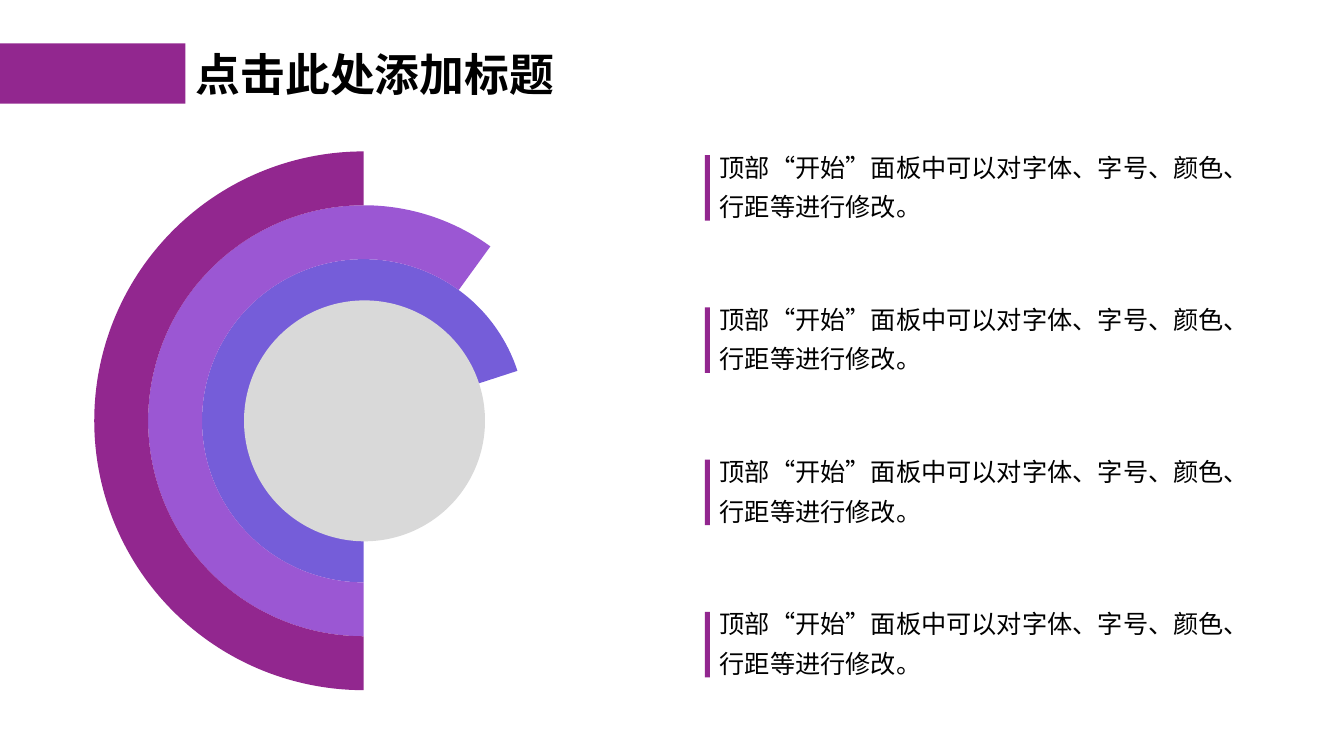
from lxml import etree
from pptx import Presentation
from pptx import util as u
from pptx.chart.data import CategoryChartData
from pptx.dml.color import RGBColor
from pptx.enum import chart as charts, shapes, text
from pptx.oxml.ns import qn

PURPLE = "92278F"
FONT = "Noto Sans CJK SC"
ADVICE = ["顶部“开始”面板中可以对字体、字号、颜色、", "行距等进行修改。"]
RINGS = [(80, "665EB8"), (70, "755DD9"), (60, "9B57D3"), (50, PURPLE)]


def colour(value):
    return RGBColor.from_string(value)


def add_block(page, kind, left, top, width, height, fill):
    block = page.shapes.add_shape(
        kind, u.Inches(left), u.Inches(top), u.Inches(width), u.Inches(height))
    block.shadow.inherit = False
    block.fill.solid()
    block.fill.fore_color.rgb = colour(fill)
    block.line.fill.background()


def add_span(para, words, size, bold=False):
    span = para.add_run()
    span.text = words
    span.font.size = u.Pt(size)
    span.font.bold = bold
    span.font.name = FONT
    span.font.color.rgb = colour("000000")
    east_asian = etree.SubElement(span.font._element, qn("a:ea"))
    east_asian.set("typeface", FONT)


def add_heading(page, left, top, width, height):
    add_block(page, shapes.MSO_SHAPE.RECTANGLE, 0, top + 0.02, left, 0.6, PURPLE)
    title = page.shapes.title
    title.left, title.top = u.Inches(left), u.Inches(top)
    title.width, title.height = u.Inches(width), u.Inches(height)
    frame = title.text_frame
    frame.word_wrap = False
    frame.auto_size = text.MSO_AUTO_SIZE.NONE
    frame.vertical_anchor = text.MSO_ANCHOR.MIDDLE
    para = frame.paragraphs[0]
    para.alignment = text.PP_ALIGN.LEFT
    add_span(para, "点击此处添加标题", 32, True)


def place_plot(chart, left, top, width, height):
    plot_area = chart._chartSpace.chart.plotArea
    layout = plot_area.find(qn("c:layout"))
    if layout is None:
        layout = etree.Element(qn("c:layout"))
        plot_area.insert(0, layout)
    manual = etree.SubElement(layout, qn("c:manualLayout"))
    settings = {"layoutTarget": "inner", "xMode": "edge", "yMode": "edge",
                "x": left, "y": top, "w": width, "h": height}
    for name, value in settings.items():
        etree.SubElement(manual, qn(f"c:{name}")).set("val", str(value))


def add_rings(page, left, top, width, height):
    data = CategoryChartData()
    data.categories = ["1", "2"]
    for number, (share, fill) in enumerate(RINGS, 1):
        data.add_series(f"Series {number}", (share, 100 - share))
    chart = page.shapes.add_chart(
        charts.XL_CHART_TYPE.DOUGHNUT, u.Inches(left), u.Inches(top),
        u.Inches(width), u.Inches(height), data).chart
    chart.has_title = False
    chart.has_legend = False
    chart.font.name = "Quicksand"
    chart.font.size = u.Pt(10)
    chart.font.color.rgb = colour("000000")
    plot = chart.plots[0]
    for series, (share, fill) in zip(plot.series, RINGS):
        value, rest = series.points[0].format, series.points[1].format
        value.fill.solid()
        value.fill.fore_color.rgb = colour(fill)
        rest.fill.background()
        for part in (value, rest):
            part.line.fill.background()
    doughnut = plot._element
    doughnut.find(qn("c:firstSliceAng")).set("val", "180")
    doughnut.find(qn("c:holeSize")).set("val", "49")
    place_plot(chart, 0.063, 0.043, 0.875, 0.957)
    add_block(page, shapes.MSO_SHAPE.OVAL, left + 1.87, top + 1.72, 2.39, 2.39, "D9D9D9")


def add_advice(page, left, top, width, height):
    add_block(page, shapes.MSO_SHAPE.RECTANGLE, left, top + 0.17, 0.05, 0.65, PURPLE)
    box = page.shapes.add_textbox(
        u.Inches(left + 0.05), u.Inches(top), u.Inches(width - 0.05), u.Inches(height))
    frame = box.text_frame
    frame.word_wrap = True
    for index, words in enumerate(ADVICE):
        para = frame.add_paragraph() if index else frame.paragraphs[0]
        para.line_spacing = 1.3
        add_span(para, words, 18)


def main():
    deck = Presentation()
    deck.slide_width, deck.slide_height = u.Inches(13.33), u.Inches(7.5)
    page = deck.slides.add_slide(deck.slide_layouts[5])
    add_heading(page, 1.84, 0.41, 3.79, 0.64)
    add_rings(page, 0.55, 1.26, 6.11, 5.59)
    for row in range(4):
        add_advice(page, 6.99, 1.37 + row * 1.51, 6.72, 0.89)
    deck.save("out.pptx")


if __name__ == "__main__":
    main()
